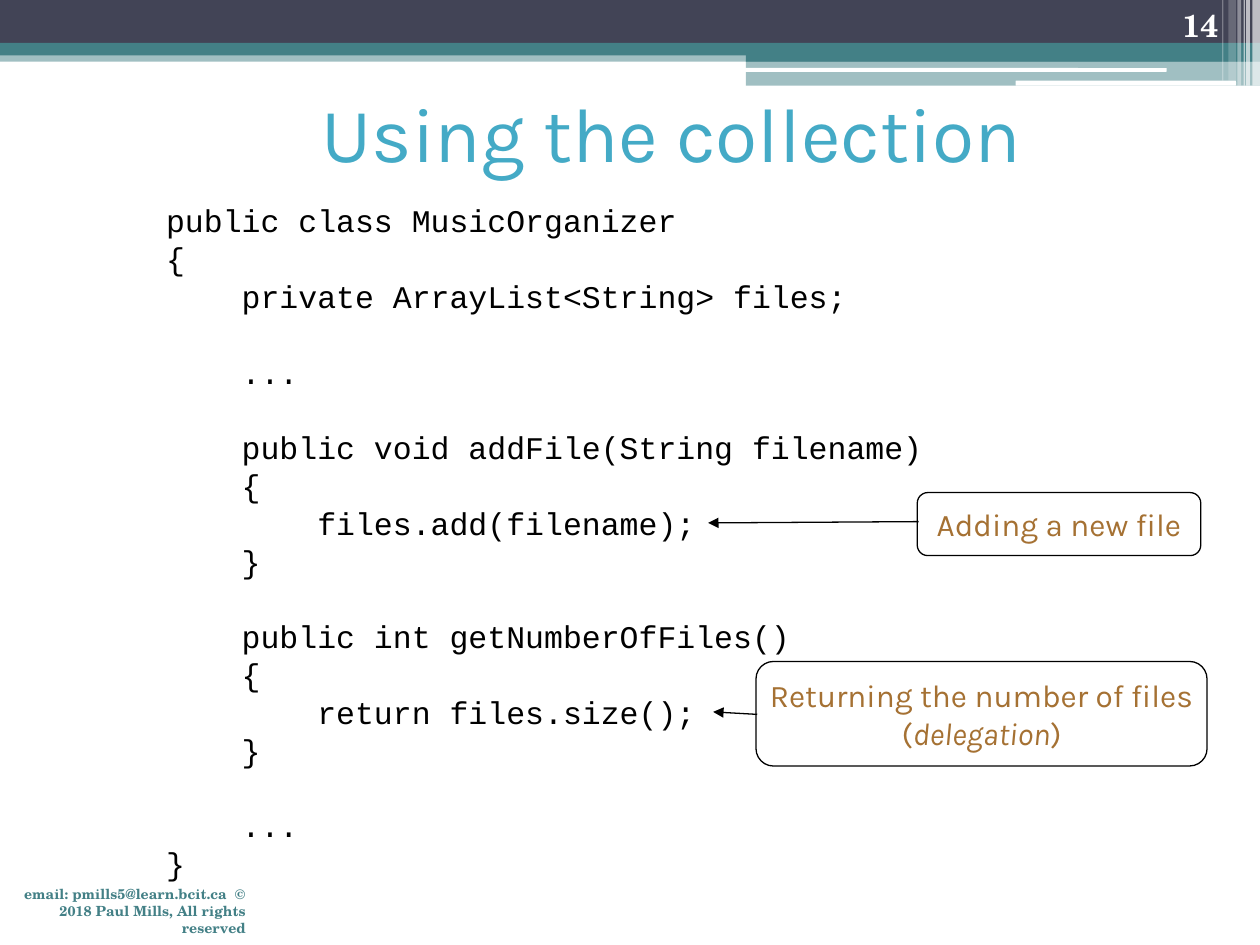
from pptx import Presentation
from pptx import util as u
from pptx.dml.color import RGBColor
from pptx.enum import shapes, text
from pptx.oxml.ns import qn
from lxml import etree

# Content
TITLE = "Using the collection"
CODE = """public class MusicOrganizer
{
    private ArrayList<String> files;

    ...

    public void addFile(String filename)
    {
        files.add(filename);
    }

    public int getNumberOfFiles()
    {
        return files.size();
    }

    ...
}""".split("\n")
# Callouts: box, arrow start, arrow end, lines of (text, italic) spans
CALLOUTS = [
    ((7.28, 3.91, 2.25, 0.5), (7.29, 4.14), (5.62, 4.15),
     [[("Adding a new file", False)]]),
    ((6, 5.25, 3.58, 0.83), (6.01, 5.67), (5.66, 5.65),
     [[("Returning the number of files", False)],
      [("(", False), ("delegation", True), (")", False)]]),
]
FOOTER = "email: pmills5@learn.bcit.ca  © 2018 Paul Mills, All rights reserved"
PAGE_NUMBER = "14"

THEME = {
    "navy": "424456", "teal": "438086", "white": "FFFFFF", "black": "000000",
    "title": "44AAC6", "callout": "A57133",
    "sans": "Karla", "mono": "Courier New", "serif": "TeX Gyre Schola",
    "title_size": 44, "text_size": 18, "footer_size": 8, "code_pitch": 21.6,
}

# Header bands: box, colour, opacity in percent
BANDS = [
    ((0, 0.4, 10, 0.09), "teal", 50),
    ((0, 0, 10, 0.34), "navy", 100),
    ((0, 0.34, 10, 0.1), "teal", 100),
    ((5.92, 0.39, 4.08, 0.1), "teal", 100),
    ((5.92, 0.48, 4.08, 0.2), "teal", 50),
]
PILLS = [(5.91, 0.54, 3.35, 0.03), (8.06, 0.64, 1.75, 0.04)]
# Header stripes: left, width, height, opacity
STRIPES = [
    (9.94, 0.06, 0.68, 65), (9.89, 0.03, 0.68, 65), (9.87, 0.01, 0.68, 60),
    (9.82, 0.03, 0.68, 40), (9.75, 0.06, 0.64, 20), (9.7, 0.01, 0.64, 30),
]

RECT = shapes.MSO_SHAPE.RECTANGLE
ROUNDED = shapes.MSO_SHAPE.ROUNDED_RECTANGLE
ALIGN = text.PP_ALIGN
ANCHOR = text.MSO_ANCHOR


def colour(name):
    return RGBColor.from_string(THEME[name])


def inches(values):
    return [u.Inches(value) for value in values]


def add_block(page, kind, area, fill=None, opacity=100, line=None):
    box = page.shapes.add_shape(kind, *inches(area))
    box.shadow.inherit = False
    if fill:
        box.fill.solid()
        box.fill.fore_color.rgb = colour(fill)
        if opacity < 100:
            tint = box.fill._xPr.find(".//" + qn("a:srgbClr"))
            etree.SubElement(tint, qn("a:alpha"), val=str(opacity * 1000))
    else:
        box.fill.background()
    if line:
        box.line.color.rgb = colour(line)
        box.line.width = u.Pt(0.75)
    else:
        box.line.fill.background()
    return box


def add_span(para, words, font, size, color, bold=False, italic=False):
    span = para.add_run()
    span.text = words
    span.font.name = THEME[font]
    span.font.size = u.Pt(THEME[size])
    span.font.color.rgb = colour(color)
    span.font.bold = bold
    span.font.italic = italic


def write(box, words, align=ALIGN.LEFT, anchor=ANCHOR.TOP, wrap=True, **style):
    """Fill a box with lines; a line is a string or a list of (text, italic)."""
    frame = box.text_frame
    frame.auto_size = text.MSO_AUTO_SIZE.NONE
    frame.word_wrap = wrap
    frame.vertical_anchor = anchor
    frame.margin_left = frame.margin_right = u.Inches(0.1)
    frame.margin_top = frame.margin_bottom = u.Inches(0.05)
    for index, line in enumerate(words):
        para = frame.add_paragraph() if index else frame.paragraphs[0]
        para.alignment = align
        spans = [(line, False)] if isinstance(line, str) else line
        for part, italic in spans:
            add_span(para, part, italic=italic, **style)
    return frame


def add_arrow(page, start, end):
    arrow = page.shapes.add_connector(
        shapes.MSO_CONNECTOR.STRAIGHT, *inches(start + end))
    arrow.line.color.rgb = colour("black")
    arrow.line.width = u.Pt(0.75)
    etree.SubElement(arrow.line._get_or_add_ln(), qn("a:tailEnd"), type="triangle")
    etree.SubElement(arrow._element.spPr, qn("a:effectLst"))


def add_code(page, area):
    """Blank code lines become space before the line that follows."""
    box = page.shapes.add_textbox(*inches(area))
    frame = write(box, [line for line in CODE if line], wrap=False,
                  font="mono", size="text_size", color="black")
    pitch = u.Pt(THEME["code_pitch"])
    after_blank = [not before for before, line in zip(["{"] + CODE, CODE) if line]
    for para, gap in zip(frame.paragraphs, after_blank):
        para.line_spacing = pitch
        para.space_before = pitch if gap else u.Pt(0)


def main():
    deck = Presentation()
    deck.slide_width, deck.slide_height = inches((10, 7.5))
    page = deck.slides.add_slide(deck.slide_layouts[5])

    # Header
    for area, fill, opacity in BANDS:
        add_block(page, RECT, area, fill, opacity)
    for area in PILLS:
        add_block(page, ROUNDED, area, "white")
    for left, width, height, opacity in STRIPES:
        add_block(page, RECT, (left, 0, width, height), "white", opacity)

    # Title
    title = page.shapes.title
    title.left, title.top, title.width, title.height = inches((1.08, 0.42, 8.5, 1.25))
    write(title, [TITLE], ALIGN.CENTER, ANCHOR.MIDDLE,
          font="sans", size="title_size", color="title")

    # Code and callouts
    add_code(page, (1.22, 1.55, 6.2, 5.5))
    for area, start, end, lines in CALLOUTS:
        box = add_block(page, ROUNDED, area, line="black")
        write(box, lines, ALIGN.CENTER, ANCHOR.MIDDLE, wrap=False,
              font="sans", size="text_size", color="callout")
        add_arrow(page, start, end)

    # Footer and page number
    footer = page.shapes.add_textbox(*inches((0, 6.98, 2.05, 0.29)))
    write(footer, [FOOTER], ALIGN.RIGHT, bold=True,
          font="serif", size="footer_size", color="teal")
    number = page.shapes.add_textbox(*inches((8.94, 0, 0.83, 0.4)))
    write(number, [PAGE_NUMBER], ALIGN.RIGHT, ANCHOR.BOTTOM, bold=True,
          font="serif", size="text_size", color="white")

    deck.save("out.pptx")


if __name__ == "__main__":
    main()
